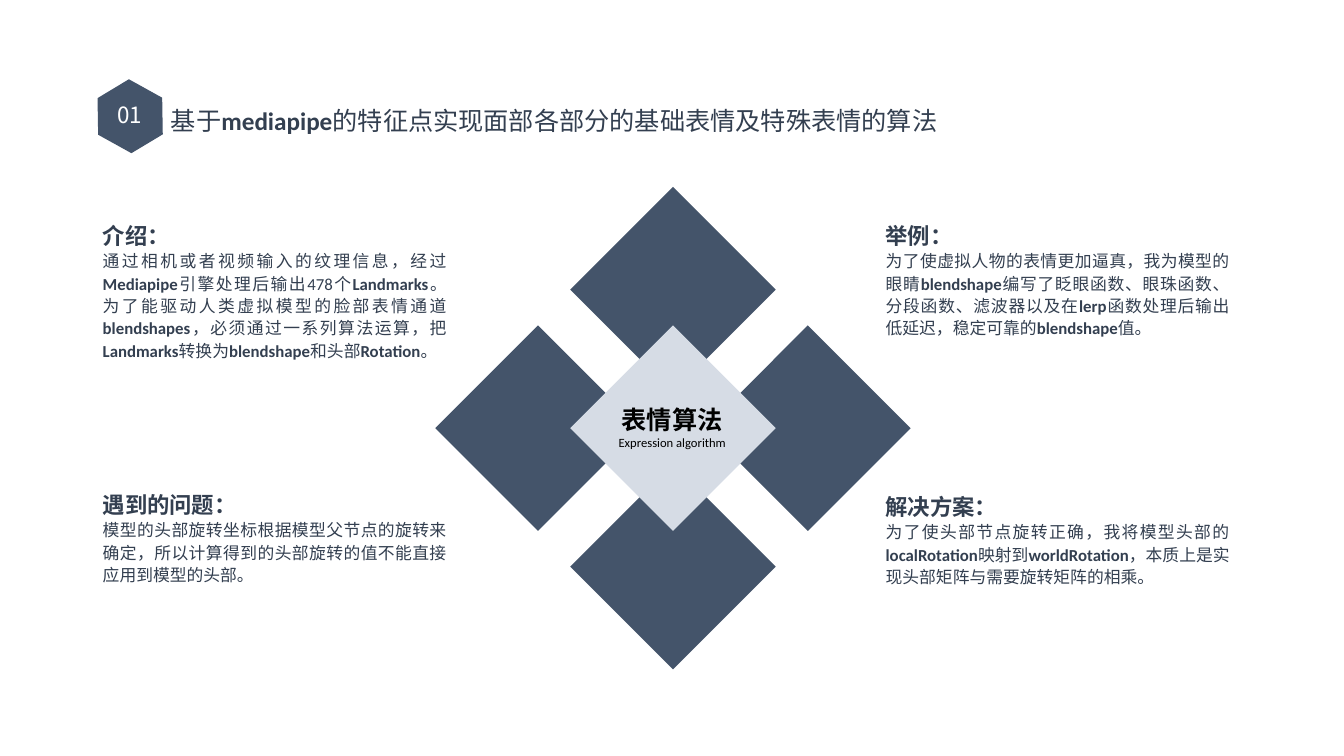
from lxml.etree import SubElement
from pptx import Presentation
from pptx.dml.color import RGBColor
from pptx.enum.shapes import MSO_SHAPE as Shape
from pptx.enum.text import MSO_ANCHOR as Anchor, MSO_AUTO_SIZE as AutoSize, PP_ALIGN as Align
from pptx.oxml.ns import qn
from pptx.util import Cm, Pt

CJK, LATIN = "Noto Sans CJK SC", "Calibri"
SLATE, PALE, INK = "44546A", "D6DCE5", "333F50"

PANELS = [
    (2.34, 5.13, 4.09, "介绍：",
     "通过相机或者视频输入的纹理信息，经过*Mediapipe*引擎处理后输出478个*Landmarks*。"
     "为了能驱动人类虚拟模型的脸部表情通道*blendshapes*，必须通过一系列算法运算，"
     "把*Landmarks*转换为*blendshape*和头部*Rotation*。"),
    (2.34, 11.91, 2.97, "遇到的问题：",
     "模型的头部旋转坐标根据模型父节点的旋转来确定，"
     "所以计算得到的头部旋转的值不能直接应用到模型的头部。"),
    (22.07, 5.13, 3.56, "举例：",
     "为了使虚拟人物的表情更加逼真，我为模型的眼睛*blendshape*编写了眨眼函数、眼珠函数、"
     "分段函数、滤波器以及在*lerp*函数处理后输出低延迟，稳定可靠的*blendshape*值。"),
    (22.07, 11.96, 2.97, "解决方案：",
     "为了使头部节点旋转正确，我将模型头部的*localRotation*映射到*worldRotation*，"
     "本质上是实现头部矩阵与需要旋转矩阵的相乘。"),
]


def color(code):
    """Turn a hex string into a colour."""
    return RGBColor.from_string(code)


def write(para, text, size, font=LATIN, ink=INK, bold=False, align=Align.CENTER, spacing=None):
    """Fill a paragraph, switching the weight at each asterisk."""
    para.alignment = align
    if spacing:
        para.line_spacing = spacing
    for index, part in enumerate(text.split("*")):
        span = para.add_run()
        span.text = part
        span.font.size = Pt(size)
        span.font.name = font
        span.font.bold = bold != (index % 2 == 1)
        span.font.color.rgb = color(ink)
        SubElement(span.font._element, qn("a:ea"), typeface=CJK)


def prepare(box):
    """Make a text shape wrap and start at its top, and return its frame."""
    frame = box.text_frame
    frame.word_wrap = True
    frame.auto_size = AutoSize.NONE
    frame.vertical_anchor = Anchor.TOP
    return frame


def add_text(shapes, left, top, width, height):
    """Add a wrapping text box and return its frame."""
    return prepare(shapes.add_textbox(Cm(left), Cm(top), Cm(width), Cm(height)))


def add_solid(shapes, kind, left, top, width, height, fill):
    """Add a flat shape without outline."""
    solid = shapes.add_shape(kind, Cm(left), Cm(top), Cm(width), Cm(height))
    solid.shadow.inherit = False
    solid.fill.solid()
    solid.fill.fore_color.rgb = color(fill)
    solid.line.fill.background()
    return solid


def add_heading(page, left, top, number, text):
    """Place the numbered hexagon and the slide title."""
    title = page.shapes.title
    title.left, title.top = Cm(left + 1.34), Cm(top + 0.02)
    title.width, title.height = Cm(20.57), Cm(1.3)
    write(prepare(title).paragraphs[0], text, 18, spacing=1.5)
    badge = page.shapes.add_group_shape().shapes
    hexagon = add_solid(badge, Shape.HEXAGON, left, top, 1.88, 1.6, SLATE)
    hexagon.adjustments[0] = 0.288
    hexagon.rotation = 29
    frame = add_text(badge, left + 0.33, top + 0.3, 1.2, 0.94)
    frame.margin_left = frame.margin_right = 0
    write(frame.paragraphs[0], number, 16, CJK, "FFFFFF")


def add_diamonds(page, center_x, center_y, size):
    """Place four diamonds around a labelled pale one."""
    cluster = page.shapes.add_group_shape().shapes
    for step_x, step_y in [(0, -1), (0, 1), (-1, 0), (1, 0), (0, 0)]:
        add_solid(cluster, Shape.DIAMOND,
                  center_x + 3.4 * step_x - size / 2, center_y + 3.49 * step_y - size / 2,
                  size, size, SLATE if step_x or step_y else PALE)
    frame = add_text(page.shapes, center_x - 2.41, center_y - 0.72, 4.78, 1.4)
    write(frame.paragraphs[0], "表情算法", 18, CJK, "000000", bold=True)
    write(frame.add_paragraph(), "Expression algorithm", 9, ink="000000")


def add_panel(page, left, top, height, heading, body):
    """Place a heading with its justified paragraph."""
    frame = add_text(page.shapes, left, top, 9.17, height)
    write(frame.paragraphs[0], heading, 16, CJK, bold=True, align=Align.JUSTIFY, spacing=1.5)
    write(frame.add_paragraph(), body, 12, align=Align.JUSTIFY, spacing=Pt(16))


def main():
    """Build the slide and save the deck."""
    deck = Presentation()
    deck.slide_width, deck.slide_height = Cm(33.87), Cm(19.05)
    page = deck.slides.add_slide(deck.slide_layouts[5])
    add_diamonds(page, 16.96, 10.79, 5.18)
    for panel in PANELS:
        add_panel(page, *panel)
    add_heading(page, 2.34, 2.13, "01",
                "基于*mediapipe*的特征点实现面部各部分的基础表情及特殊表情的算法")
    deck.save("out.pptx")


if __name__ == "__main__":
    main()
